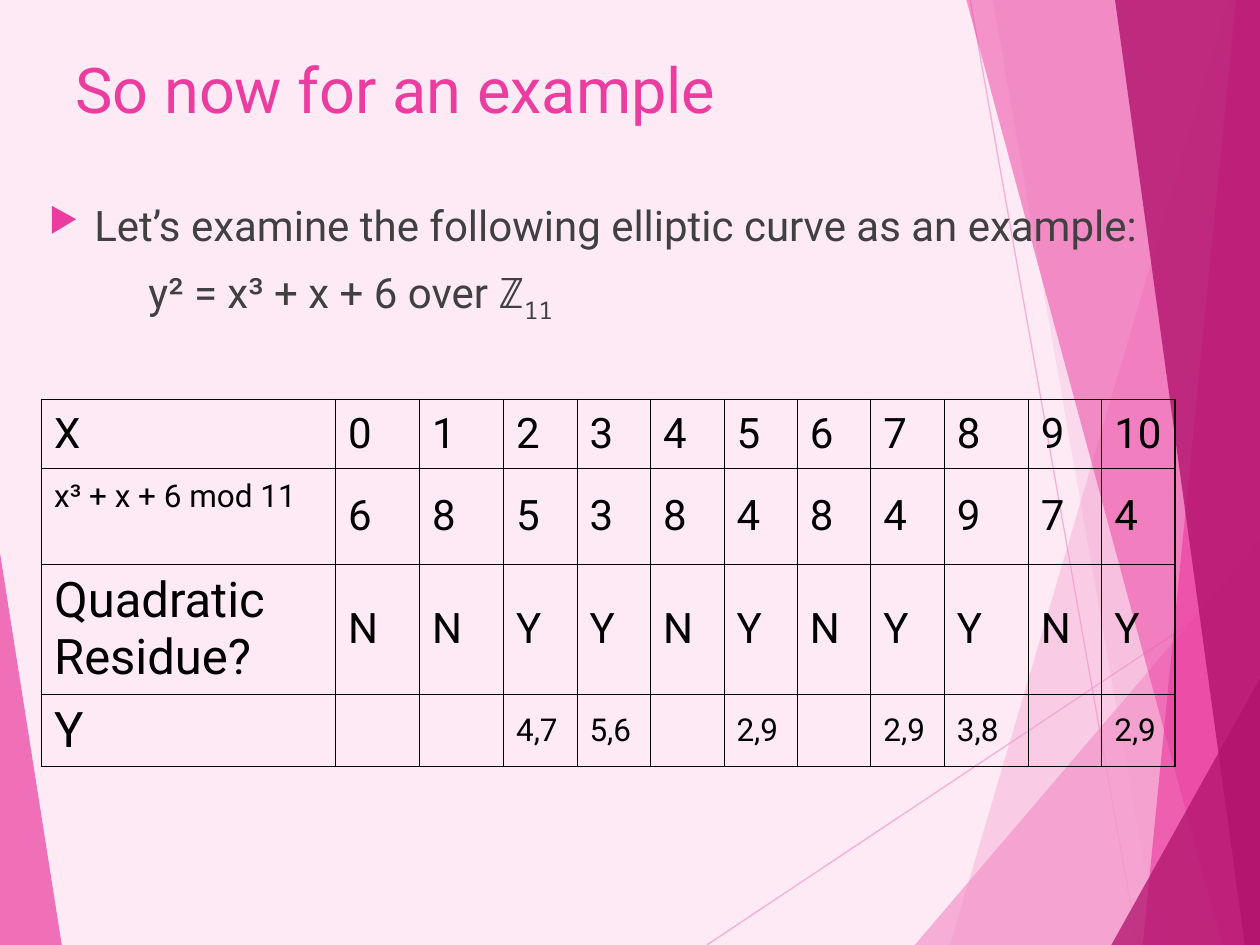
from lxml import etree
from pptx import Presentation
from pptx.dml.color import RGBColor
from pptx.enum.shapes import MSO_CONNECTOR
from pptx.enum.text import MSO_ANCHOR
from pptx.oxml import parse_xml
from pptx.oxml.ns import nsdecls, qn
from pptx.util import Inches, Pt

STRAIGHT = MSO_CONNECTOR.STRAIGHT
TOP, MIDDLE = MSO_ANCHOR.TOP, MSO_ANCHOR.MIDDLE
FONT, MATH_FONT = "Roboto", "Noto Sans Mono"
PALE, PINK, DEEP = "F496CB", "EB3D9F", "B2136D"
WIDTH, HEIGHT = 10, 7.5
UNIT = 1 / 12
COLUMNS = [28, 8, 8] + [7] * 6 + [8, 7, 7]
ROWS = [0.55, 0.76, 1.03, 0.57]
THIN, THICK = 0.45, 1.08

RAYS = [((5.61, 7.5), (10.01, 4.57)), ((7.7, 0), (9.03, 7.5))]
FACETS = [
    (PALE, 36, [(9.75, 0), (7.54, 7.5), (10.02, 7.5), (10.01, 0)]),
    (PALE, 20, [(7.88, 0), (9.19, 7.5), (10.01, 7.5), (10.01, 0)]),
    (PALE, 72, [(7.26, 7.5), (10, 4.29), (10.01, 7.5)]),
    (PINK, 50, [(7.67, 0), (9.7, 7.5), (10.01, 7.5), (10.01, 0)]),
    (PINK, 66, [(9.81, 0), (9.07, 7.5), (10.01, 7.5), (10, 0)]),
    (DEEP, 80, [(8.85, 0), (9.88, 7.5), (10.02, 7.5), (10, 0)]),
    (DEEP, 76, [(8.82, 7.5), (10.02, 5.35), (10.02, 7.5)]),
    (PINK, 70, [(0, 4.39), (0.49, 7.5), (0, 7.5)]),
]
TABLE = [
    ["X"] + [str(x) for x in range(11)],
    ["x³ + x + 6 mod 11"] + list("68538484974"),
    ["Quadratic Residue?"] + list("NNYYNYNYYNY"),
    ["Y", "", "", "4,7", "5,6", "", "2,9", "", "2,9", "3,8", "", "2,9"],
]
LABEL_SIZES = [24, 18, 28, 28]
VALUE_SIZES = [24, 24, 24, 18]


def color(hex_text):
    """Return the colour for a hex string."""
    return RGBColor.from_string(hex_text)


def paint(fill, hex_text, opacity):
    """Give a fill a colour and an opacity in percent."""
    fill.solid()
    fill.fore_color.rgb = color(hex_text)
    clr = fill._xPr.find(qn("a:solidFill"))[0]
    etree.SubElement(clr, qn("a:alpha")).set("val", str(opacity * 1000))


def add_ray(s, start, end):
    """Draw a thin translucent background line."""
    ray = s.shapes.add_connector(STRAIGHT, *map(Inches, start + end))
    ray.line.width = Pt(0.75)
    paint(ray.line.fill, PALE, 70)
    etree.SubElement(ray._element.spPr, qn("a:effectLst"))


def add_facet(s, hex_text, opacity, points):
    """Draw a translucent background polygon."""
    corners = [(Inches(x), Inches(y)) for x, y in points]
    builder = s.shapes.build_freeform(*corners[0])
    builder.add_line_segments(corners[1:])
    sp = builder.convert_to_shape()
    sp.shadow.inherit = False
    sp.line.fill.background()
    paint(sp.fill, hex_text, opacity)


def add_textbox(s, left, top, width, height):
    """Add a wrapping text box and return its text frame."""
    tf = s.shapes.add_textbox(*map(Inches, (left, top, width, height))).text_frame
    tf.word_wrap = True
    tf.margin_top = Inches(0.08)
    return tf


def style(p, size, hex_text, before=0):
    """Set the font and spacing of a paragraph."""
    p.font.name = FONT
    p.font.size = Pt(size)
    p.font.color.rgb = color(hex_text)
    p.space_before = Pt(before)


def indent(p, left, first=0):
    """Set the left margin and first-line indent of a paragraph."""
    pPr = p._p.get_or_add_pPr()
    pPr.set("marL", str(Inches(left)))
    pPr.set("indent", str(Inches(first)))
    return pPr


def add_bullet(pPr, char, hex_text, percent):
    """Put a coloured bullet on a paragraph."""
    for xml in (
        f'<a:buClr {nsdecls("a")}><a:srgbClr val="{hex_text}"/></a:buClr>',
        f'<a:buSzPct {nsdecls("a")} val="{percent * 1000}"/>',
        f'<a:buChar {nsdecls("a")} char="{char}"/>',
    ):
        pPr.insert_element_before(parse_xml(xml), "a:tabLst", "a:defRPr", "a:extLst")


def add_body(s):
    """Add the bulleted sentence and the curve equation."""
    tf = add_textbox(s, 0.17, 1.5, 9, 2.17)
    p = tf.paragraphs[0]
    p.text = "Let’s examine the following elliptic curve as an example:"
    style(p, 24, "404040")
    add_bullet(indent(p, 0.48, -0.36), "▶", PINK, 80)
    p = tf.add_paragraph()
    style(p, 24, "404040", 10)
    indent(p, 0.91)
    p.add_run().text = "y² = x³ + x + 6 over "
    for text in ("ℤ", "11"):
        r = p.add_run()
        r.text = text
        r.font.name = MATH_FONT
    r.font._element.set("baseline", "-25000")


def set_borders(cell, widths):
    """Draw black cell borders from a dict of side to width."""
    tcPr = cell._tc.get_or_add_tcPr()
    for i, side in enumerate("LRTB"):
        tcPr.insert(i, parse_xml(
            f'<a:ln{side} {nsdecls("a")} w="{Pt(widths[side])}"><a:solidFill>'
            f'<a:srgbClr val="000000"/></a:solidFill></a:ln{side}>'))


def add_residue_table(s):
    """Add the table of curve values and square roots."""
    size = Inches(sum(COLUMNS) * UNIT), Inches(sum(ROWS))
    table = s.shapes.add_table(
        len(ROWS), len(COLUMNS), Inches(0.33), Inches(3.17), *size).table
    table.first_row = table.horz_banding = False
    for column, units in zip(table.columns, COLUMNS):
        column.width = Inches(units * UNIT)
    last_row, last_col = len(ROWS) - 1, len(COLUMNS) - 1
    for i, texts in enumerate(TABLE):
        table.rows[i].height = Inches(ROWS[i])
        for j, text in enumerate(texts):
            cell = table.cell(i, j)
            cell.fill.background()
            cell.vertical_anchor = MIDDLE
            p = cell.text_frame.paragraphs[0]
            p.text = text
            points = VALUE_SIZES[i] if j else LABEL_SIZES[i]
            style(p, points, "000000", points / 4)
            set_borders(cell, {
                "L": THIN if j else THICK,
                "R": THICK if j == last_col else THIN,
                "T": THIN if i else THICK,
                "B": THICK if i == last_row else THIN,
            })
    formula = table.cell(1, 0)
    formula.vertical_anchor = TOP
    formula.margin_top = Inches(0.08)


def main():
    """Build and save the slide."""
    prs = Presentation()
    prs.slide_width, prs.slide_height = Inches(WIDTH), Inches(HEIGHT)
    s = prs.slides.add_slide(prs.slide_layouts[6])
    s.background.fill.solid()
    s.background.fill.fore_color.rgb = color("FDEAF5")
    for start, end in RAYS:
        add_ray(s, start, end)
    for facet in FACETS:
        add_facet(s, *facet)
    p = add_textbox(s, 0.5, 0.32, 9, 1.51).paragraphs[0]
    p.text = "So now for an example"
    style(p, 36, PINK)
    add_body(s)
    add_residue_table(s)
    prs.save("out.pptx")


if __name__ == "__main__":
    main()
